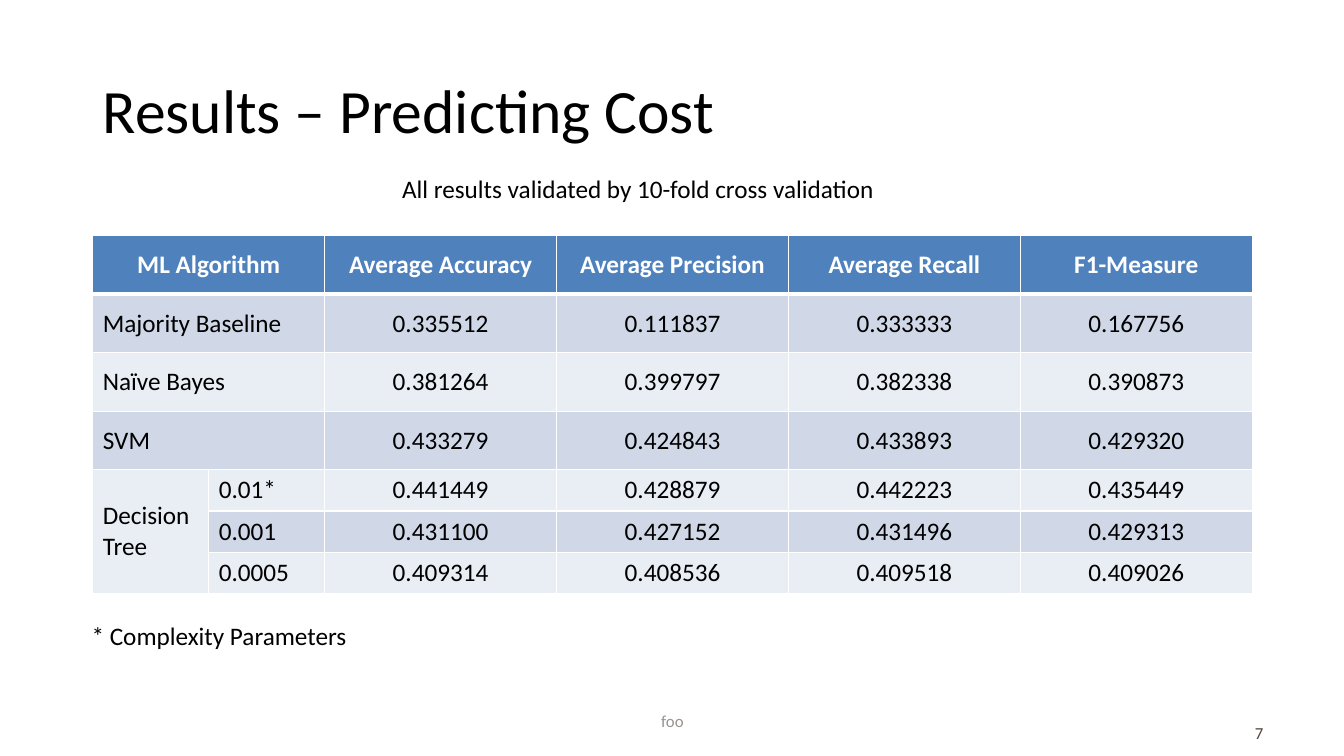
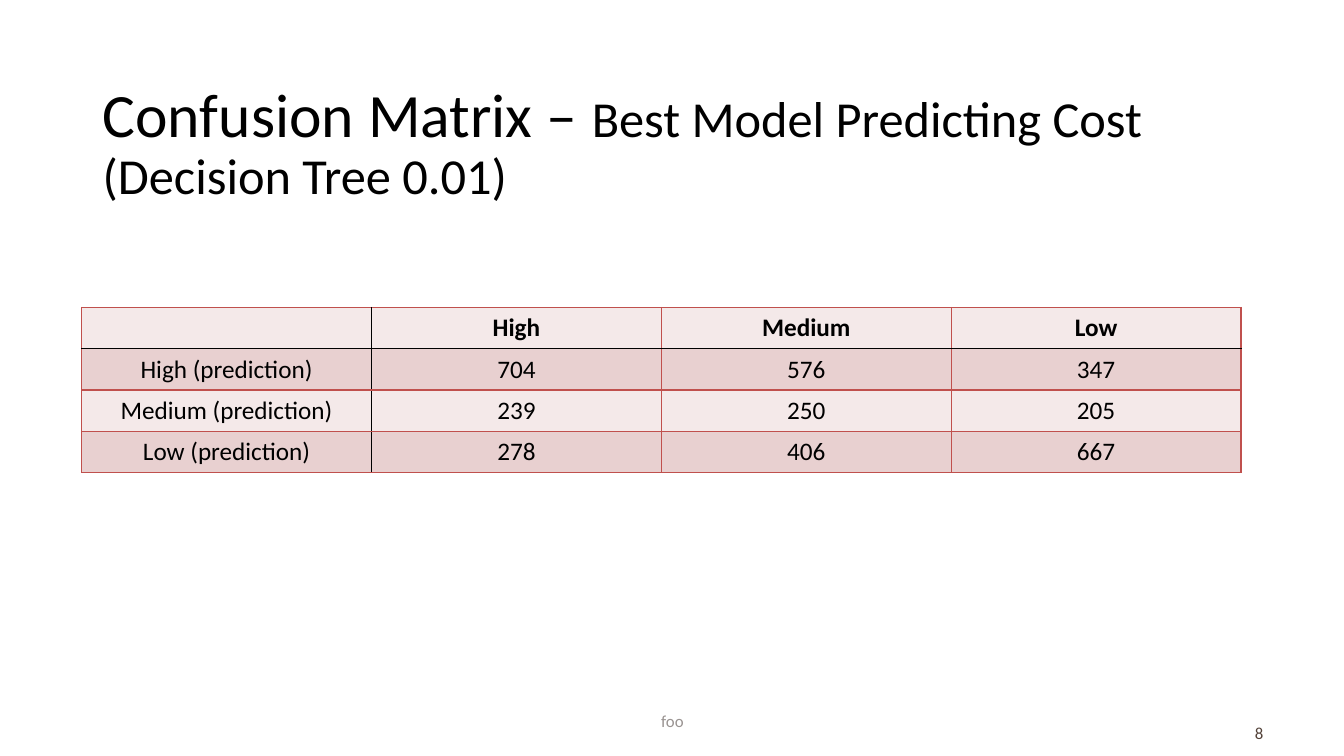
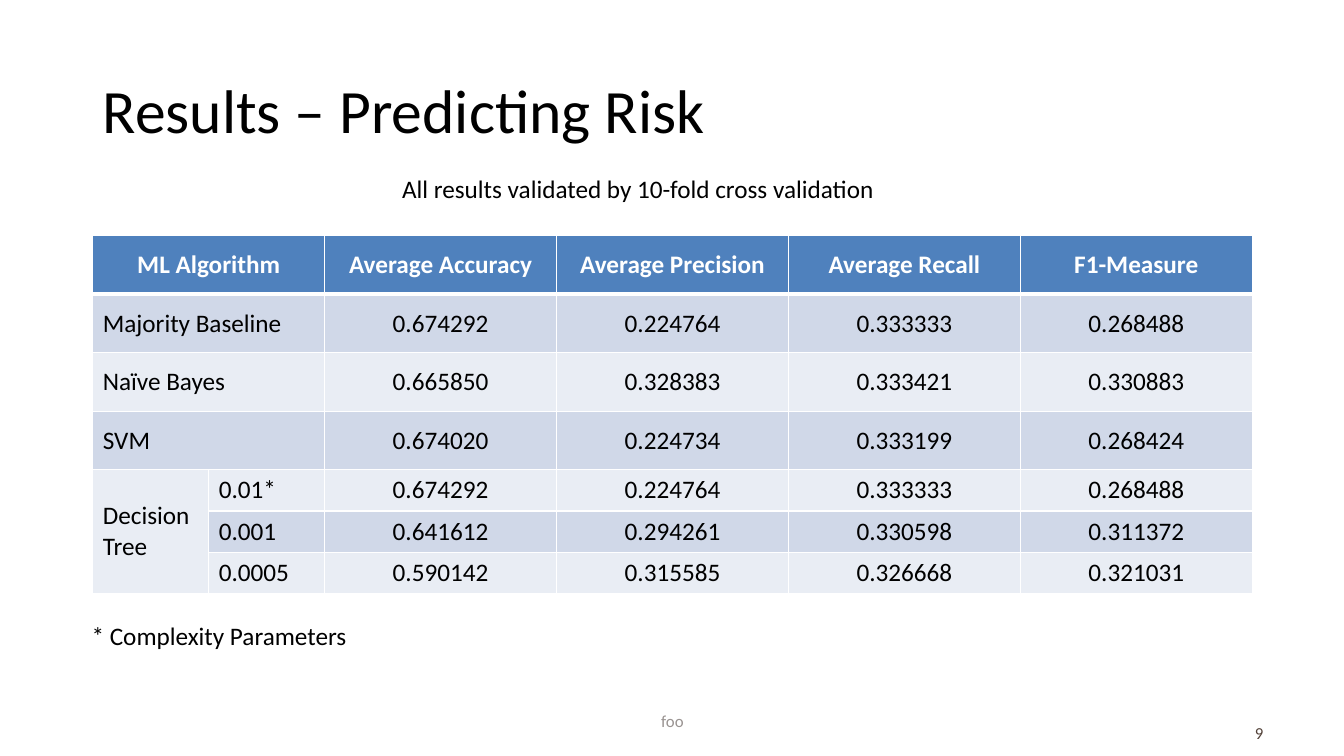
"""Build three slides of classification results: two score tables and a confusion matrix."""
from dataclasses import dataclass

from lxml.etree import SubElement
from pptx import Presentation
from pptx.dml.color import RGBColor
from pptx.enum.text import MSO_ANCHOR as Anchor, PP_ALIGN as Align
from pptx.oxml.ns import qn
from pptx.presentation import Presentation as Deck
from pptx.slide import Slide
from pptx.table import Table, _Cell as Cell
from pptx.text.text import _Paragraph as Paragraph
from pptx.util import Inches, Pt

FONT = "Calibri"
BLACK = "000000"
WHITE = "FFFFFF"
RED = "C0504D"
FOOTER_GREY = "999391"
NUMBER_BROWN = "534239"
TABLE_WIDTH = 11.5
MATRIX_ROW = 0.41
HEADINGS = ["ML Algorithm", "", "Average Accuracy", "Average Precision", "Average Recall", "F1-Measure"]
ALGORITHMS = [
    ("Majority Baseline", ""), ("Naïve Bayes", ""), ("SVM", ""),
    ("Decision Tree", "0.01*"), ("", "0.001"), ("", "0.0005"),
]


@dataclass(frozen=True)
class Box:
    left: float
    top: float
    width: float
    height: float


@dataclass(frozen=True)
class TextRun:
    text: str
    size: float = 18
    color: str = BLACK
    bold: bool = False


@dataclass(frozen=True)
class TableStyle:
    header_fill: str
    header_color: str
    bands: tuple[str, str]
    border: str
    header_rule: str
    header_rule_width: float
    label_rule: str
    label_columns: int


@dataclass(frozen=True)
class Results:
    title: str
    number: int
    scores: list[list[str]]


RESULTS_STYLE = TableStyle("4F81BD", WHITE, ("D0D8E8", "E9EDF4"), WHITE, WHITE, 3, WHITE, 2)
MATRIX_STYLE = TableStyle("F4E9E9", BLACK, ("E8D0D0", "F4E9E9"), RED, BLACK, 1, BLACK, 0)

COST = Results("Results – Predicting Cost", 7, [
    ["0.335512", "0.111837", "0.333333", "0.167756"],
    ["0.381264", "0.399797", "0.382338", "0.390873"],
    ["0.433279", "0.424843", "0.433893", "0.429320"],
    ["0.441449", "0.428879", "0.442223", "0.435449"],
    ["0.431100", "0.427152", "0.431496", "0.429313"],
    ["0.409314", "0.408536", "0.409518", "0.409026"],
])
RISK = Results("Results – Predicting Risk", 9, [
    ["0.674292", "0.224764", "0.333333", "0.268488"],
    ["0.665850", "0.328383", "0.333421", "0.330883"],
    ["0.674020", "0.224734", "0.333199", "0.268424"],
    ["0.674292", "0.224764", "0.333333", "0.268488"],
    ["0.641612", "0.294261", "0.330598", "0.311372"],
    ["0.590142", "0.315585", "0.326668", "0.321031"],
])
MATRIX = [
    ["", "High", "Medium", "Low"],
    ["High (prediction)", "704", "576", "347"],
    ["Medium (prediction)", "239", "250", "205"],
    ["Low (prediction)", "278", "406", "667"],
]


def rgb(color: str) -> RGBColor:
    return RGBColor.from_string(color)


def add_run(paragraph: Paragraph, text_run: TextRun) -> None:
    run = paragraph.add_run()
    run.text = text_run.text
    run.font.name = FONT
    run.font.size = Pt(text_run.size)
    run.font.bold = text_run.bold
    run.font.color.rgb = rgb(text_run.color)


def add_text(slide: Slide, box: Box, runs: list[TextRun], align: Align = Align.LEFT,
             anchor: Anchor = Anchor.MIDDLE, line_spacing: float = 1.0) -> None:
    shape = slide.shapes.add_textbox(
        Inches(box.left), Inches(box.top), Inches(box.width), Inches(box.height))
    frame = shape.text_frame
    frame.word_wrap = True
    frame.vertical_anchor = anchor
    paragraph = frame.paragraphs[0]
    paragraph.alignment = align
    paragraph.line_spacing = line_spacing
    for text_run in runs:
        add_run(paragraph, text_run)


def set_border(cell: Cell, side: str, color: str, width: float) -> None:
    properties = cell._tc.get_or_add_tcPr()
    line = SubElement(properties, qn(f"a:ln{side}"), w=str(Pt(width)))
    fill = SubElement(line, qn("a:solidFill"))
    SubElement(fill, qn("a:srgbClr"), val=color)


def style_cell(cell: Cell, row: int, column: int, style: TableStyle) -> None:
    header_rule = (style.header_rule, style.header_rule_width)
    label_rule = (style.label_rule, 1)
    plain = (style.border, 1)
    borders = {
        "L": label_rule if column == 1 else plain,
        "R": label_rule if column == 0 else plain,
        "T": header_rule if row == 1 else plain,
        "B": header_rule if row == 0 else plain,
    }
    for side, (color, width) in borders.items():
        set_border(cell, side, color, width)
    cell.fill.solid()
    cell.fill.fore_color.rgb = rgb(style.bands[(row - 1) % 2] if row else style.header_fill)
    cell.vertical_anchor = Anchor.MIDDLE


def add_styled_table(slide: Slide, left: float, top: float, rows: list[list[str]],
                     widths: list[float], heights: list[float], style: TableStyle) -> Table:
    frame = slide.shapes.add_table(len(rows), len(widths), Inches(left), Inches(top),
                                   Inches(sum(widths)), Inches(sum(heights)))
    table = frame.table
    for table_column, width in zip(table.columns, widths):
        table_column.width = Inches(width)
    for table_row, height in zip(table.rows, heights):
        table_row.height = Inches(height)
    for row, texts in enumerate(rows):
        for column, text in enumerate(texts):
            cell = table.cell(row, column)
            style_cell(cell, row, column, style)
            if text:
                paragraph = cell.text_frame.paragraphs[0]
                is_label = row > 0 and column < style.label_columns
                paragraph.alignment = Align.LEFT if is_label else Align.CENTER
                color = BLACK if row else style.header_color
                add_run(paragraph, TextRun(text, color=color, bold=row == 0))
    return table


def add_base_slide(presentation: Deck, title: list[TextRun], title_top: float, number: int) -> Slide:
    slide = presentation.slides.add_slide(presentation.slide_layouts[6])
    add_text(slide, Box(0.92, title_top, TABLE_WIDTH, 1.45), title, line_spacing=0.9)
    add_text(slide, Box(4.42, 6.95, 4.5, 0.4), [TextRun("foo", 12, FOOTER_GREY)], Align.CENTER)
    add_text(slide, Box(9.63, 7.07, 3, 0.4), [TextRun(str(number), 12, NUMBER_BROWN)], Align.RIGHT)
    return slide


def add_results_slide(presentation: Deck, results: Results) -> None:
    slide = add_base_slide(presentation, [TextRun(results.title, 44)], 0.4, results.number)
    rows = [HEADINGS] + [[*labels, *scores] for labels, scores in zip(ALGORITHMS, results.scores)]
    widths = [TABLE_WIDTH / 10] * 2 + [TABLE_WIDTH / 5] * 4
    heights = [0.58] * 4 + [0.41] * 3
    table = add_styled_table(slide, 0.92, 2.34, rows, widths, heights, RESULTS_STYLE)
    for row in range(4):
        table.cell(row, 0).merge(table.cell(row, 1))
    table.cell(4, 0).merge(table.cell(6, 0))
    add_text(slide, Box(0.81, 6.1, 6.38, 0.4), [TextRun("* Complexity Parameters")],
             anchor=Anchor.TOP)
    add_text(slide, Box(3.89, 1.67, 8.74, 0.4),
             [TextRun("All results validated by 10-fold cross validation")], anchor=Anchor.TOP)


def add_matrix_slide(presentation: Deck) -> None:
    title = [TextRun("Confusion Matrix – ", 44),
             TextRun("Best Model Predicting Cost (Decision Tree 0.01)", 36)]
    slide = add_base_slide(presentation, title, 0.71, 8)
    add_styled_table(slide, 0.81, 3.05, MATRIX, [TABLE_WIDTH / 4] * 4,
                     [MATRIX_ROW] * len(MATRIX), MATRIX_STYLE)


def main() -> None:
    presentation = Presentation()
    presentation.slide_width = Inches(13.33)
    presentation.slide_height = Inches(7.5)
    add_results_slide(presentation, COST)
    add_matrix_slide(presentation)
    add_results_slide(presentation, RISK)
    presentation.save("out.pptx")


if __name__ == "__main__":
    main()
